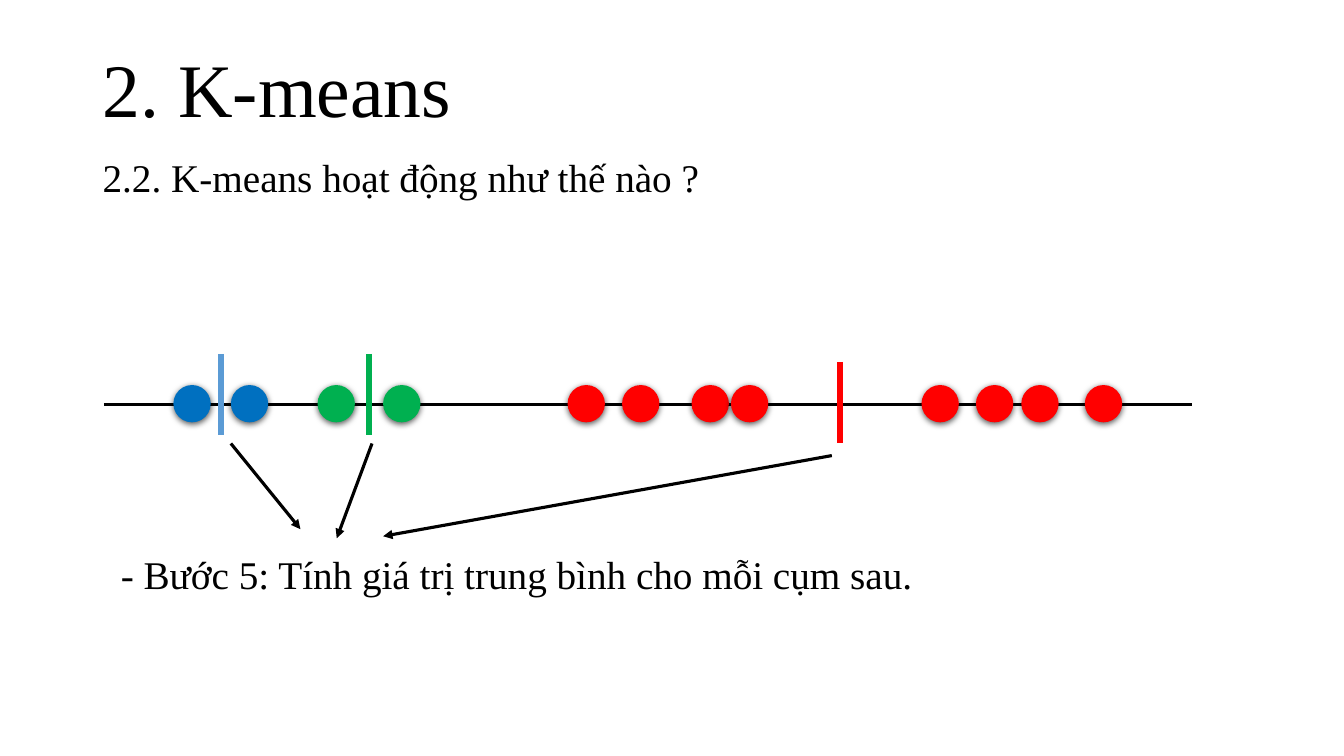
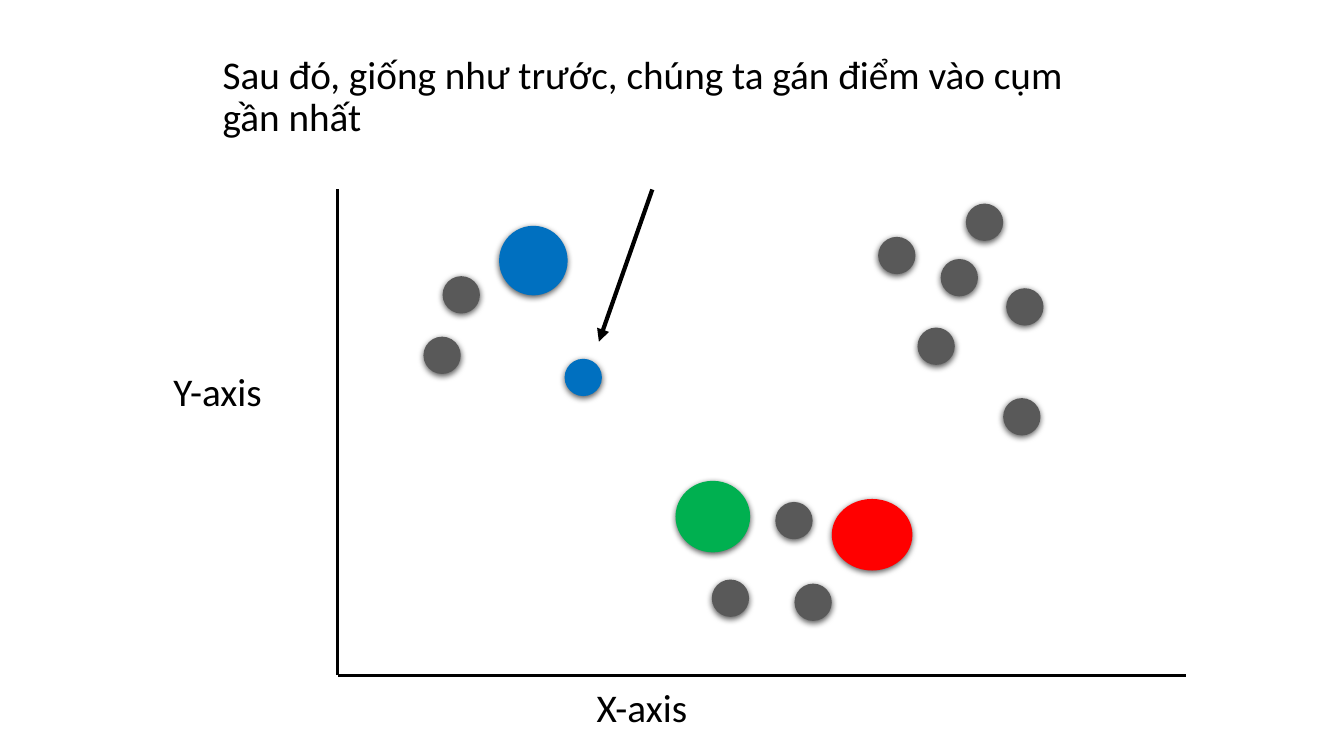
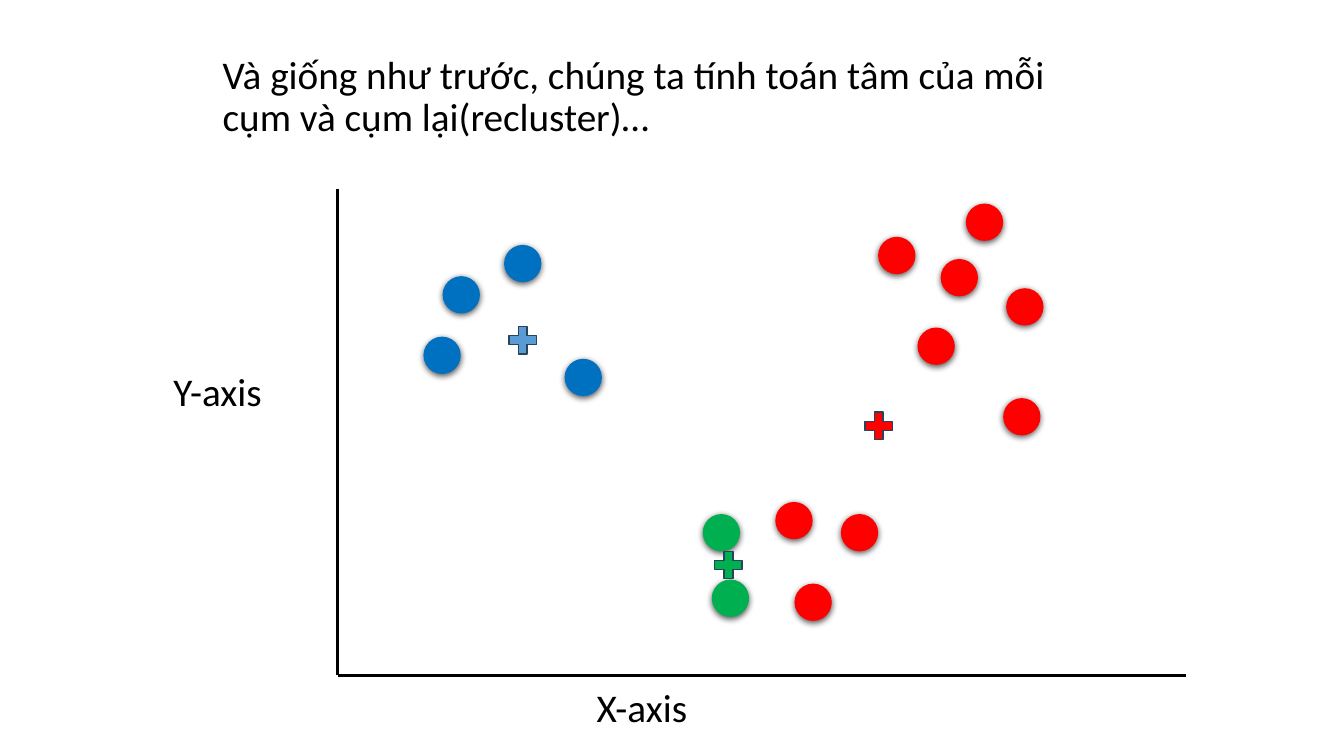
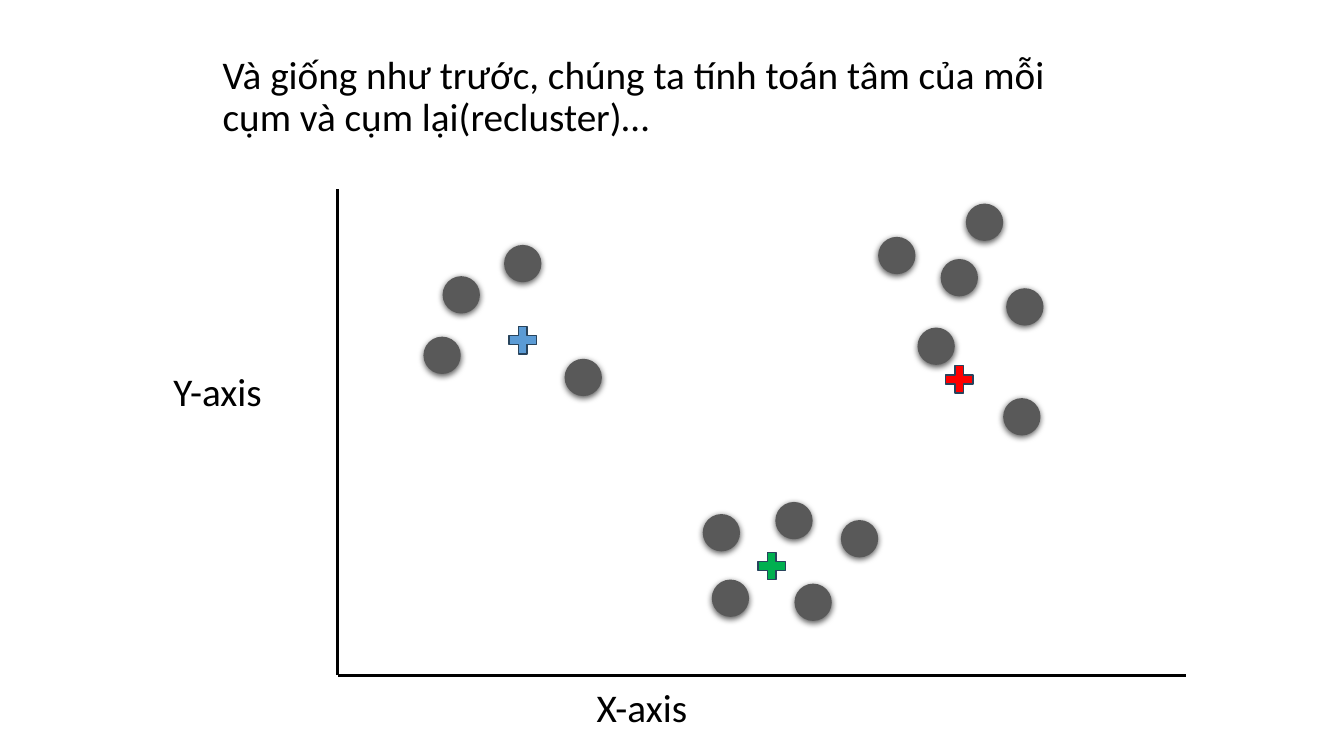
from lxml.etree import SubElement as Sub
from pptx import Presentation
from pptx.dml.color import RGBColor as Rgb
from pptx.enum.shapes import MSO_CONNECTOR as Link, MSO_SHAPE as Form
from pptx.enum.text import MSO_ANCHOR as Anchor
from pptx.oxml.ns import qn
from pptx.util import Inches, Pt

BLACK, GRAY = "000000", "595959"
BLUE, GREEN, RED = "0070C0", "00B050", "FF0000"
SKY, NAVY = "5B9BD5", "28445D"
DOT = 0.37

SERIF = {"name": "Times New Roman", "size": Pt(28)}
TITLE = {**SERIF, "size": Pt(54)}
SANS = {"name": "Calibri", "size": Pt(28)}

LEFT = [(0.85, 1.46), (1.04, 0.86), (2.25, 1.68)]
PEAK = (1.65, 0.55)
RIGHT = [(5.36, 0.47), (5.98, 0.69), (6.23, 0.14),
         (6.63, 0.98), (6.6, 2.07), (5.75, 1.37)]
LOW = [(4.34, 3.1), (4.53, 3.91)]
BASE = (3.71, 3.87)
SIDE = (3.62, 3.22)
EDGE = (4.99, 3.22)
MID = (1.65, 1.31)
PLOT = (3.35, 1.88, 8.41, 4.82)
TRACK = (1.03, 4.01, 10.79)
AGAIN = "Và giống như trước, chúng ta tính toán tâm của mỗi cụm và cụm lại(recluster)…"


def color(code):
    return Rgb.from_string(code)


def write(slide, box, text, style, anchor=Anchor.TOP):
    frame = slide.shapes.add_textbox(*map(Inches, box)).text_frame
    frame.word_wrap = True
    frame.vertical_anchor = anchor
    para = frame.paragraphs[0]
    para.text = text
    para.line_spacing = 0.9
    for key, value in style.items():
        setattr(para.font, key, value)
    para.font.color.rgb = color(BLACK)


def rule(slide, start, end, width=2.25, code=BLACK, arrow=False):
    line = slide.shapes.add_connector(
        Link.STRAIGHT, *map(Inches, (*start, *end)))
    line.line.width = Pt(width)
    line.line.color.rgb = color(code)
    if arrow:
        Sub(line.line._get_or_add_ln(), qn("a:tailEnd"), type="triangle")
    Sub(line._element.spPr, qn("a:effectLst"))


def mark(slide, form, spot, size, code):
    shape = slide.shapes.add_shape(form, *map(Inches, (*spot, *size)))
    shape.shadow.inherit = False
    shape.fill.solid()
    shape.fill.fore_color.rgb = color(code)
    return shape


def dot(slide, spot, code, size=(DOT, DOT)):
    shape = mark(slide, Form.FLOWCHART_CONNECTOR, spot, size, code)
    shape.line.fill.background()
    glow = Sub(shape._element.spPr.find(qn("a:effectLst")), qn("a:outerShdw"),
               blurRad=str(Pt(4.5)), dist=str(Pt(1.5)), dir="5400000",
               algn="ctr", rotWithShape="0")
    tint = Sub(glow, qn("a:srgbClr"), val=BLACK)
    Sub(tint, qn("a:alpha"), val="63000")


def plus(slide, spot, code):
    shape = mark(slide, Form.MATH_PLUS, spot, (DOT, DOT), code)
    shape.line.color.rgb = color(NAVY)
    shape.line.width = Pt(1)


def track(slide, box):
    left, top, width = box

    def at(x, y):
        return left + x, top + y

    rule(slide, at(0, 0), at(width, 0))
    groups = {BLUE: [0.69, 1.26], GREEN: [2.12, 2.77],
              RED: [4.6, 5.14, 5.83, 6.22, 8.11, 8.65, 9.1, 9.73]}
    for code, spots in groups.items():
        for x in spots:
            dot(slide, at(x, -0.19), code)
    for x, y, code in [(1.16, -0.5, SKY), (2.63, -0.5, GREEN), (7.3, -0.42, RED)]:
        rule(slide, at(x, y), at(x, y + 0.81), 4.5, code)
    for start, end in [((1.26, 0.39), (1.95, 1.24)),
                       ((2.66, 0.39), (2.31, 1.33)),
                       ((7.22, 0.51), (2.77, 1.31))]:
        rule(slide, at(*start), at(*end), arrow=True)
    write(slide, (*at(0.07, 1.45), 9.35, 0.92),
          "- Bước 5: Tính giá trị trung bình cho mỗi cụm sau.", SERIF)


def plot(slide, box, text, groups, big=(), signs=(), arrow=None):
    left, top, width, height = box

    def at(x, y):
        return left + x, top + y

    write(slide, (*at(-1.24, -1.38), 8.99, 1.05), text, SANS)
    write(slide, (*at(-1.73, 1.77), 2.28, 0.78), "Y-axis", SANS)
    write(slide, (*at(2.47, 4.9), 2.28, 0.78), "X-axis", SANS)
    rule(slide, at(0, 0), at(0, height))
    rule(slide, at(0, height), at(width, height))
    for code, spots in groups.items():
        for spot in spots:
            dot(slide, at(*spot), code)
    for spot, size, code in big:
        dot(slide, at(*spot), code, size)
    for spot, code in signs:
        plus(slide, at(*spot), code)
    if arrow:
        start, end = arrow
        rule(slide, at(*start), at(*end), 3, arrow=True)


def main():
    deck = Presentation()
    deck.slide_width, deck.slide_height = Inches(13.33), Inches(7.5)

    def page():
        return deck.slides.add_slide(deck.slide_layouts[6])

    first = page()
    write(first, (0.92, 0, 11.5, 1.85), "2. K-means", TITLE, Anchor.MIDDLE)
    write(first, (0.92, 1.52, 11.5, 0.6),
          "2.2. K-means hoạt động như thế nào ?", SERIF)
    track(first, TRACK)

    plot(page(), PLOT,
         "Sau đó, giống như trước, chúng ta gán điểm vào cụm gần nhất",
         {GRAY: LEFT[:2] + RIGHT + LOW + [BASE], BLUE: LEFT[2:]},
         big=[((1.6, 0.36), (0.68, 0.69), BLUE),
              ((4.9, 3.07), (0.8, 0.71), RED),
              ((3.35, 2.89), (0.74, 0.71), GREEN)],
         arrow=((3.12, 0), (2.59, 1.51)))
    plot(page(), PLOT, AGAIN,
         {BLUE: LEFT + [PEAK], RED: RIGHT + LOW + [EDGE], GREEN: [BASE, SIDE]},
         signs=[(MID, SKY), ((5.18, 2.16), RED), ((3.69, 3.54), GREEN)])
    plot(page(), PLOT, AGAIN,
         {GRAY: LEFT + [PEAK] + RIGHT + LOW + [BASE, SIDE, (4.99, 3.28)]},
         signs=[(MID, SKY), ((5.98, 1.7), RED), ((4.12, 3.55), GREEN)])
    deck.save("out.pptx")


if __name__ == "__main__":
    main()
